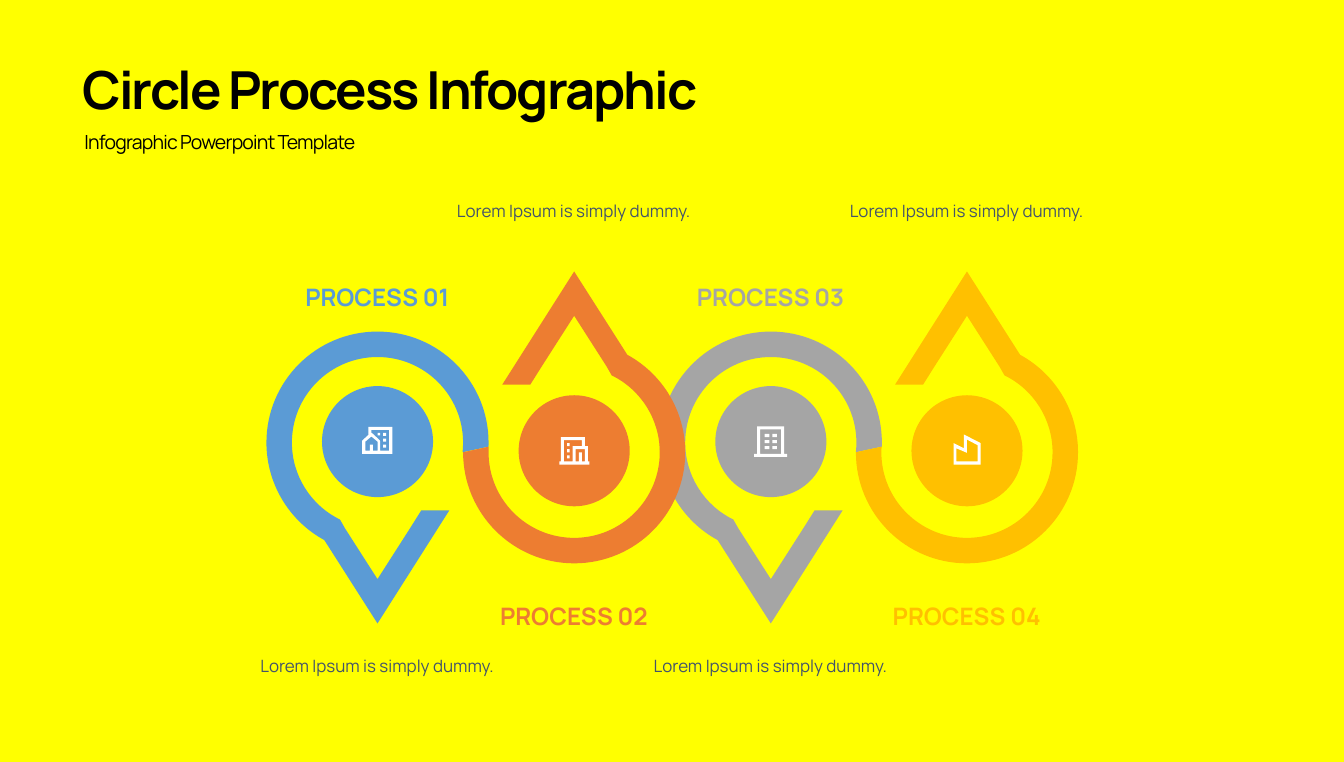
from math import ceil, cos, floor, radians, sin, tan

from lxml import etree
from pptx import Presentation
from pptx.dml.color import RGBColor
from pptx.enum.shapes import MSO_SHAPE
from pptx.enum.text import MSO_ANCHOR, MSO_AUTO_SIZE, PP_ALIGN
from pptx.oxml.ns import qn
from pptx.util import Inches, Pt

OVAL = MSO_SHAPE.OVAL
TOP = MSO_ANCHOR.TOP
NO_FIT = MSO_AUTO_SIZE.NONE
LEFT, CENTER = PP_ALIGN.LEFT, PP_ALIGN.CENTER

FONT = "Manrope"
NOTE = "Lorem Ipsum is simply dummy."
COLORS = ["5B9BD5", "ED7D31", "A5A5A5", "FFC000"]
CENTERS = [7.41, 11.27, 15.13, 18.98]
OUTER, INNER, DISC = 2.18, 1.68, 1.09
PIN_ORDER = [0, 2, 3, 1]


def color(value):
    return RGBColor.from_string(value)


def paint(shape, fill):
    shape.shadow.inherit = False
    shape.fill.solid()
    shape.fill.fore_color.rgb = color(fill)
    shape.line.fill.background()


def write(shape, text, size, fill, bold=False, align=LEFT, spacing=1.5, track=0, inset=None):
    tf = shape.text_frame
    tf.word_wrap = True
    tf.auto_size = NO_FIT
    tf.vertical_anchor = TOP
    if inset is not None:
        tf.margin_left = tf.margin_right = Inches(inset)
        tf.margin_top = tf.margin_bottom = Inches(inset)
    p = tf.paragraphs[0]
    p.alignment = align
    p.line_spacing = spacing
    p.space_before = Pt(0)
    r = p.add_run()
    r.text = text
    r.font.name = FONT
    r.font.size = Pt(size)
    r.font.bold = bold
    r.font.color.rgb = color(fill)
    if track:
        r.font._element.set("spc", str(round(track * 100)))


def add_text(s, x, y, w, h, text, size, fill, **style):
    box = s.shapes.add_textbox(Inches(x), Inches(y), Inches(w), Inches(h))
    write(box, text, size, fill, **style)


def add_title(s, text):
    title = s.shapes.title
    title.left, title.top = Inches(1.52), Inches(1.02)
    title.width, title.height = Inches(20.24), Inches(1.41)
    write(title, text, 74, "000000", bold=True, spacing=Pt(93.2), track=-2.86)


def add_disc(s, x, y, fill):
    size = Inches(2 * DISC)
    disc = s.shapes.add_shape(OVAL, Inches(x - DISC), Inches(y - DISC), size, size)
    paint(disc, fill)


def add_outline(s, x, y, contours, fill):
    builder = None
    nodes = []
    for contour in contours:
        moved = [[(Inches(x + px), Inches(y + py)) for px, py in node] for node in contour]
        ends = [node[-1] for node in moved]
        if builder is None:
            builder = s.shapes.build_freeform(*ends[0], scale=1.0)
        else:
            builder.move_to(*ends[0])
        builder.add_line_segments(ends[1:], close=True)
        nodes += moved
    shape = builder.convert_to_shape()
    path = shape._element.spPr.find(".//" + qn("a:path"))
    steps = [step for step in path if step.tag != qn("a:close")]
    for step, node in zip(steps, nodes):
        if len(node) == 3:
            bend(step, [(px - shape.left, py - shape.top) for px, py in node])
    paint(shape, fill)


def bend(step, points):
    step.tag_name = None
    curve = etree.Element(qn("a:cubicBezTo"))
    for px, py in points:
        etree.SubElement(curve, qn("a:pt"), x=str(px), y=str(py))
    step.getparent().replace(step, curve)


def corners(*points):
    return [[point] for point in points]


def arc(radius, start, end):
    low, high = sorted((start, end))
    quarters = [90 * q for q in range(floor(low / 90) + 1, ceil(high / 90))]
    stops = sorted([start, *quarters, end], reverse=start > end)
    nodes = [[(radius * cos(radians(start)), radius * sin(radians(start)))]]
    for a, b in zip(stops, stops[1:]):
        a, b = radians(a), radians(b)
        k = 4 / 3 * tan((b - a) / 4)
        nodes.append([(radius * (cos(a) - k * sin(a)), radius * (sin(a) + k * cos(a))),
                      (radius * (cos(b) + k * sin(b)), radius * (sin(b) - k * cos(b))),
                      (radius * cos(b), radius * sin(b))])
    return nodes


def add_pin(s, x, up, fill):
    y, inner_end, outer_end = (8.88, 363.75, 360) if up else (8.69, 366.45, 362.1)
    tip = corners((0, 3.55), (1.41, 1.33), (0.86, 1.33), (0.64, 1.68), (0, 2.68), (-0.64, 1.68))
    outline = arc(INNER, 116, inner_end) + arc(OUTER, outer_end, 118.6) + tip
    turn = -1 if up else 1
    add_outline(s, x, y, [[[(turn * px, turn * py) for px, py in node] for node in outline]], fill)


def rect(x, y, w, h):
    return corners((x, y), (x + w, y), (x + w, y + h), (x, y + h))


def windows(xs, ys, w, h):
    return [rect(x, y, w, h) for x in xs for y in ys]


def home_icon():
    walls = corners((0, 0.27), (0.12, 0.16), (0.12, 0), (0.59, 0), (0.59, 0.53), (0, 0.53))
    house = corners((0.21, 0.47), (0.3, 0.47), (0.3, 0.29), (0.18, 0.19), (0.06, 0.29),
                    (0.06, 0.47), (0.15, 0.47), (0.15, 0.35), (0.21, 0.35))
    tower = corners((0.35, 0.47), (0.53, 0.47), (0.53, 0.06), (0.18, 0.06), (0.18, 0.12),
                    (0.2, 0.13), (0.34, 0.26), (0.35, 0.28))
    panes = windows([0.41], [0.12, 0.23, 0.35], 0.06, 0.06)
    return [walls, house, tower, rect(0.3, 0.12, 0.05, 0.05)] + panes


def office_icon():
    walls = corners((0, 0.54), (0, 0.48), (0.03, 0.48), (0.03, 0), (0.5, 0), (0.5, 0.18),
                    (0.56, 0.18), (0.56, 0.48), (0.59, 0.48), (0.59, 0.54))
    door = corners((0.44, 0.48), (0.5, 0.48), (0.5, 0.24), (0.32, 0.24), (0.32, 0.48),
                   (0.38, 0.48), (0.38, 0.3), (0.44, 0.3))
    tower = corners((0.44, 0.18), (0.44, 0.06), (0.09, 0.06), (0.09, 0.48),
                    (0.26, 0.48), (0.26, 0.18))
    return [walls, door, tower] + windows([0.15], [0.12, 0.24, 0.36], 0.05, 0.06)


def block_icon():
    walls = corners((0, 0.54), (0.06, 0.54), (0.06, 0), (0.59, 0), (0.59, 0.54),
                    (0.65, 0.54), (0.65, 0.6), (0, 0.6))
    panes = windows([0.21, 0.36], [0.15, 0.27, 0.39], 0.09, 0.06)
    return [walls, rect(0.12, 0.06, 0.41, 0.48)] + panes


def factory_icon():
    walls = corners((0.2, 0.27), (0.2, 0), (0.53, 0.17), (0.53, 0.59), (0, 0.59), (0, 0.17))
    hall = corners((0.26, 0.1), (0.26, 0.36), (0.05, 0.27), (0.05, 0.53), (0.47, 0.53), (0.47, 0.21))
    return [walls, hall]


def add_captions(s, x, number, up, fill):
    label_y, note_y = (11.53, 3.74) if up else (5.26, 12.67)
    style = {"align": CENTER, "inset": 0}
    add_text(s, x - 1.8, label_y, 3.59, 0.78, f"PROCESS {number:02}", 34, fill, bold=True, **style)
    add_text(s, x - 2.69, note_y, 5.36, 0.55, NOTE, 24, "44546A", **style)


def main():
    prs = Presentation()
    prs.slide_width, prs.slide_height = Inches(26.38), Inches(14.96)
    s = prs.slides.add_slide(prs.slide_layouts[5])
    s.background.fill.solid()
    s.background.fill.fore_color.rgb = color("FFFF00")
    add_title(s, "Circle Process Infographic")
    add_text(s, 1.56, 2.39, 19.24, 0.65, "Infographic Powerpoint Template", 27.5, "000000",
             spacing=Pt(41.6), track=-1.12)
    for i, (x, fill) in enumerate(zip(CENTERS, COLORS)):
        up = i % 2 == 1
        add_captions(s, x, i + 1, up, fill)
        add_disc(s, x, 8.85 if up else 8.67, fill)
    for i in PIN_ORDER:
        add_pin(s, CENTERS[i], i % 2 == 1, COLORS[i])
    icons = [(7.11, 8.38, home_icon), (10.98, 8.58, office_icon),
             (14.8, 8.37, block_icon), (18.72, 8.53, factory_icon)]
    for x, y, icon in icons:
        add_outline(s, x, y, icon(), "FFFFFF")
    prs.save("out.pptx")


if __name__ == "__main__":
    main()
